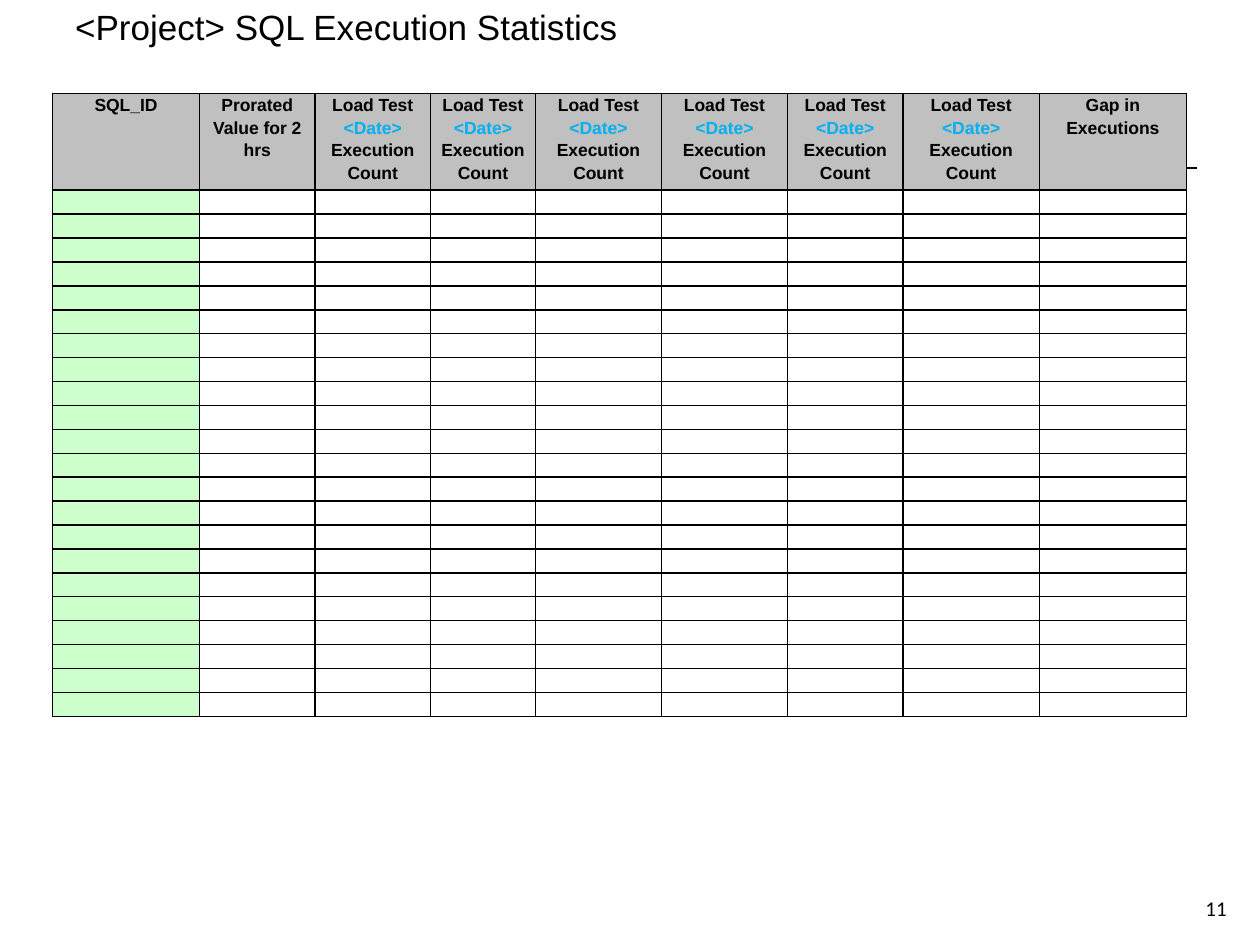
from lxml.etree import SubElement as Sub
from pptx import Presentation
from pptx.dml.color import RGBColor as Rgb
from pptx.enum.shapes import MSO_CONNECTOR as Link
from pptx.enum.text import MSO_ANCHOR as Anchor, PP_ALIGN as Align
from pptx.oxml.ns import qn
from pptx.util import Inches, Pt

UNIT = Inches(1) // 12
HUES = {"ink": "000000", "head": "C0C0C0", "key": "CCFFCC",
        "base": "FFFFFF", "date": "00B0F0"}
COLS = [14, 11, 11, 10, 12, 12, 11, 13, 14]
ROWS = 22
LOAD = [("Load Test ", "ink"), ("<Date> ", "date"), ("Execution Count", "ink")]
HEADS = [[("SQL_ID", "ink")], [("Prorated Value for 2 hrs", "ink")],
         *[LOAD] * 6, [("Gap in Executions", "ink")]]
FLAT = {"margin_top": 0, "margin_bottom": 0}
CELL = {**FLAT, "margin_left": Inches(0.07), "margin_right": Inches(0.07)}
HEAD = {"name": "Arial", "size": Pt(10), "bold": True}


def put(item, form):
    for name, value in form.items():
        setattr(item, name, value)


def hue(name):
    return Rgb.from_string(HUES[name])


def box(item, left, top, width, height):
    put(item, {"left": left * UNIT, "top": top * UNIT,
               "width": width * UNIT, "height": height * UNIT})


def write(para, runs, font, align):
    para.alignment = align
    for text, tint in runs:
        run = para.add_run()
        run.text = text
        put(run.font, font)
        run.font.color.rgb = hue(tint)


def add_title(slide):
    title = slide.shapes.title
    box(title, 5, 0, 108, 5)
    put(title.text_frame, {**FLAT, "margin_left": Inches(0.18), "word_wrap": True,
                           "vertical_anchor": Anchor.MIDDLE})
    write(title.text_frame.paragraphs[0],
          [("<Project> SQL Execution Statistics", "ink")],
          {"name": "Arial", "size": Pt(20), "bold": False}, Align.LEFT)


def add_rule(slide):
    rule = slide.shapes.add_connector(
        Link.STRAIGHT, 6 * UNIT, 16 * UNIT, 114 * UNIT, 16 * UNIT)
    put(rule.line, {"width": Pt(0.75)})
    rule.line.color.rgb = hue("ink")
    Sub(rule._element.spPr, qn("a:effectLst"))


def add_page(slide):
    page = slide.shapes.add_textbox(108 * UNIT, 85 * UNIT, 10 * UNIT, 3 * UNIT)
    put(page.text_frame, {**FLAT, "word_wrap": True,
                          "vertical_anchor": Anchor.MIDDLE})
    write(page.text_frame.paragraphs[0], [("11", "ink")],
          {"name": "Calibri", "size": Pt(12)}, Align.RIGHT)


def paint(cell, tint):
    put(cell, CELL)
    props = cell._tc.get_or_add_tcPr()
    for side in ("lnL", "lnR", "lnT", "lnB"):
        edge = Sub(props, qn(f"a:{side}"), w=str(Pt(1)))
        fill = Sub(edge, qn("a:solidFill"))
        Sub(fill, qn("a:srgbClr"), val=HUES["ink"])
    if tint:
        cell.fill.solid()
        cell.fill.fore_color.rgb = hue(tint)
    else:
        cell.fill.background()


def add_grid(slide):
    frame = slide.shapes.add_table(ROWS + 1, len(COLS), 5 * UNIT, Inches(0.74),
                                   sum(COLS) * UNIT, Inches(0.77 + 0.19 * ROWS))
    grid = frame.table
    put(grid, {"first_row": False, "horz_banding": False})
    for col, span in zip(grid.columns, COLS):
        col.width = span * UNIT
    for i, row in enumerate(grid.rows):
        row.height = Inches(0.19 if i else 0.77)
        for j, cell in enumerate(row.cells):
            para = cell.text_frame.paragraphs[0]
            if i:
                paint(cell, "key" if j == 0 else "base" if j < 3 else None)
                Sub(para._p, qn("a:endParaRPr"), sz="800")
            else:
                paint(cell, "head")
                para.line_spacing = 1.15
                write(para, HEADS[j], HEAD, Align.CENTER)


def main():
    deck = Presentation()
    put(deck, {"slide_width": 120 * UNIT, "slide_height": 90 * UNIT})
    slide = deck.slides.add_slide(deck.slide_layouts[5])
    for add in (add_rule, add_title, add_page, add_grid):
        add(slide)
    deck.save("out.pptx")


if __name__ == "__main__":
    main()
